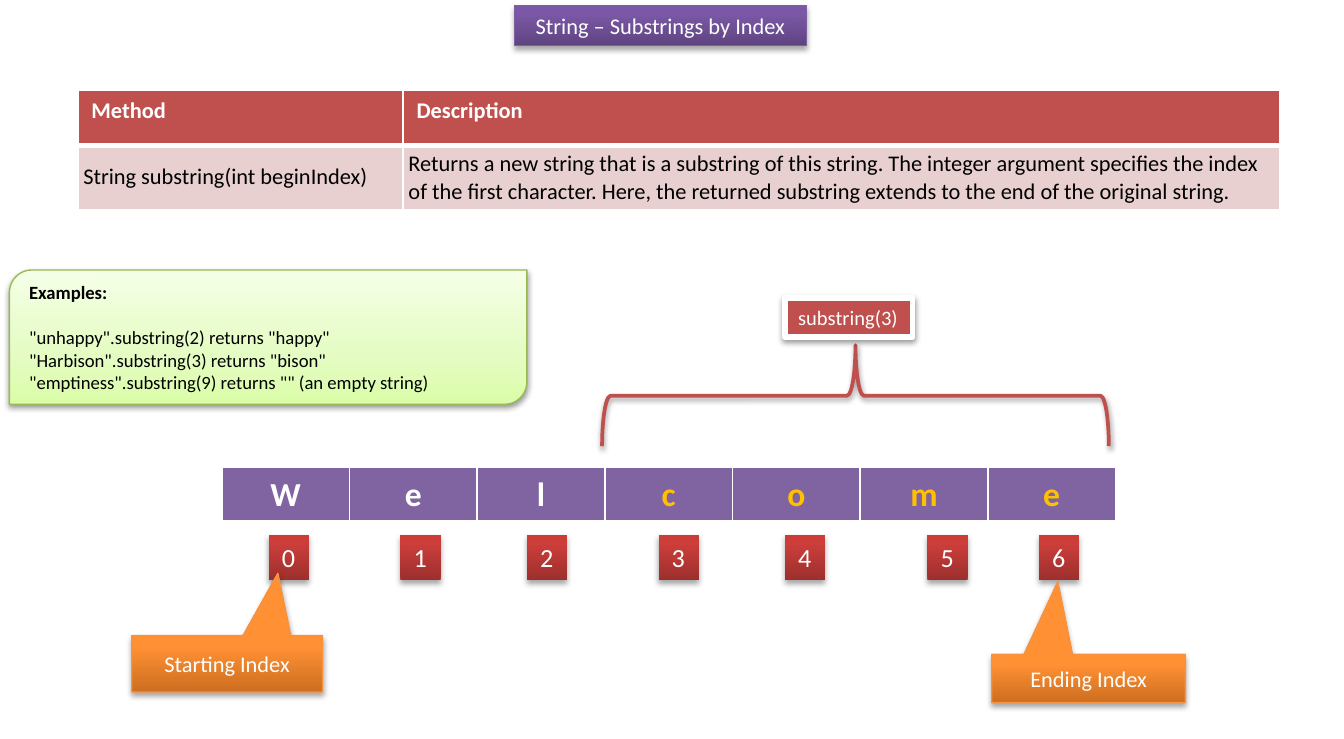
from lxml import etree
from pptx import Presentation
from pptx.dml import color
from pptx.enum import shapes, text
from pptx.oxml import ns
from pptx.util import Inches, Pt

SHAPE = shapes.MSO_SHAPE
CENTER, LEFT = text.PP_ALIGN.CENTER, text.PP_ALIGN.LEFT
MIDDLE, TOP = text.MSO_ANCHOR.MIDDLE, text.MSO_ANCHOR.TOP
WHITE, BLACK, RED, PURPLE, GOLD = "FFFFFF", "000000", "C0504D", "8064A2", "FFC000"
PURPLE_FADE = [(0, "5F4480"), (80, "7B58A6"), (100, "7C57A8")]
RED_FADE = [(0, "9C2F2D"), (80, "CB3E3A"), (100, "CE3B37")]
ORANGE_FADE = [(0, "CC6E20"), (80, "FF9034"), (100, "FF9136")]
GREEN_FADE = [(0, "DAFDA7"), (35, "E4FCC2"), (100, "F5FFE7")]


def rgb(value):
    return color.RGBColor.from_string(value)


def add_xml(parent, tag, **attributes):
    return etree.SubElement(parent, ns.qn(tag), {k: str(v) for k, v in attributes.items()})


class SlideBuilder:
    font_name = "Calibri"

    def __init__(self, slide):
        self.slide = slide

    def style(self, paragraph, size, ink, bold=False, align=LEFT):
        paragraph.alignment = align
        font = paragraph.font
        font.name, font.size, font.bold = self.font_name, Pt(size), bold
        font.color.rgb = rgb(ink)

    def paint(self, shape, fill):
        """Fill with nothing, one colour, or a list of stops running upwards."""
        if fill is None:
            shape.fill.background()
        elif isinstance(fill, str):
            shape.fill.solid()
            shape.fill.fore_color.rgb = rgb(fill)
        else:
            shape.fill.gradient()
            shape.fill.gradient_angle = 90
            stops = shape._element.spPr.find(".//" + ns.qn("a:gsLst"))
            for old in list(stops):
                stops.remove(old)
            for position, value in fill:
                stop = add_xml(stops, "a:gs", pos=position * 1000)
                add_xml(stop, "a:srgbClr", val=value)

    def cast_shadow(self, shape, opacity, distance):
        shape.shadow.inherit = False
        effects = shape._element.spPr.find(ns.qn("a:effectLst"))
        shadow = add_xml(effects, "a:outerShdw", blurRad=Pt(3.1), dist=Pt(distance),
                         dir=5400000, rotWithShape=0)
        add_xml(add_xml(shadow, "a:srgbClr", val=BLACK), "a:alpha", val=opacity * 1000)

    def shape(self, kind, box, fill=None, line=None, width=0.75, opacity=35, distance=1.8,
              adjust=()):
        shape = self.slide.shapes.add_shape(kind, *map(Inches, box))
        self.paint(shape, fill)
        if line:
            shape.line.color.rgb = rgb(line)
            shape.line.width = Pt(width)
        else:
            shape.line.fill.background()
        self.cast_shadow(shape, opacity, distance)
        for i, value in enumerate(adjust):
            shape.adjustments[i] = value
        return shape

    def label(self, shape, lines, size, ink=WHITE, align=CENTER, anchor=MIDDLE,
              wrap=True, grow=False):
        frame = shape.text_frame
        frame.word_wrap, frame.vertical_anchor = wrap, anchor
        if grow:
            frame.auto_size = text.MSO_AUTO_SIZE.SHAPE_TO_FIT_TEXT
        frame.text = "\n".join(lines)
        for paragraph in frame.paragraphs:
            self.style(paragraph, size, ink, align=align)
        return frame

    def callout(self, words, box, tip):
        shape = self.shape(SHAPE.RECTANGULAR_CALLOUT, box, ORANGE_FADE, "F69240", adjust=tip)
        self.label(shape, [words], 12)

    def table(self, left, top, widths, heights):
        table = self.slide.shapes.add_table(
            len(heights), len(widths), Inches(left), Inches(top),
            Inches(sum(widths)), Inches(sum(heights))).table
        table.horz_banding = False
        for column, width in zip(table.columns, widths):
            column.width = Inches(width)
        for row, height in zip(table.rows, heights):
            row.height = Inches(height)
        return table

    def cell(self, cell, words, fill, size, ink=WHITE, bold=True, align=LEFT,
             anchor=TOP, margin=None, bottom=3):
        cell.text = words
        cell.vertical_anchor = anchor
        if margin:
            cell.margin_left = cell.margin_right = Inches(margin)
            cell.margin_top = cell.margin_bottom = Inches(margin)
        self.style(cell.text_frame.paragraphs[0], size, ink, bold, align)
        # Borders come before the fill in the cell properties
        properties = cell._tc.get_or_add_tcPr()
        for side, width in zip("LRTB", (1, 1, 1, bottom)):
            border = add_xml(properties, "a:ln" + side, w=Pt(width))
            add_xml(add_xml(border, "a:solidFill"), "a:srgbClr", val=WHITE)
        cell.fill.solid()
        cell.fill.fore_color.rgb = rgb(fill)


def main():
    deck = Presentation()
    deck.slide_width, deck.slide_height = Inches(10), Inches(5.5)
    page = SlideBuilder(deck.slides.add_slide(deck.slide_layouts[6]))

    # Title
    title = page.shape(SHAPE.RECTANGLE, (3.83, 0.04, 2.17, 0.3), PURPLE_FADE, "7D60A0")
    page.label(title, ["String – Substrings by Index"], 12, anchor=TOP, grow=True)

    # Letters of the word
    word = "Welcome"
    begin_index = 3
    letters = page.table(1.65, 3.48, [0.95] * len(word), [0.41])
    for i, letter in enumerate(word):
        page.cell(letters.cell(0, i), letter, PURPLE, 18,
                  GOLD if i >= begin_index else WHITE, align=CENTER)

    # Index under each letter
    for i, left in enumerate((2, 2.98, 3.92, 4.9, 5.84, 6.9, 7.73)):
        index = page.shape(SHAPE.RECTANGLE, (left, 3.98, 0.3, 0.34), RED_FADE)
        page.label(index, [str(i)], 14, align=LEFT, anchor=TOP, wrap=False, grow=True)

    # First and last index
    page.callout("Starting Index", (0.98, 4.73, 1.42, 0.42), (0.266, -1.604))
    page.callout("Ending Index", (7.38, 4.87, 1.44, 0.36), (-0.159, -2.001))

    # Brace over the substring and its call
    brace = page.shape(SHAPE.LEFT_BRACE, (5.99, 1.06, 0.75, 3.77), None, RED, 2, 38, 1.6)
    brace.rotation = 90
    call = page.shape(SHAPE.RECTANGLE, (5.84, 2.22, 0.95, 0.29), RED, WHITE, 3, 38, 1.6)
    page.label(call, ["substring(3)"], 11, align=LEFT, anchor=TOP, wrap=False, grow=True)

    # Method description
    methods = page.table(0.58, 0.67, [2.42, 6.52], [0.41, 0.41])
    headings = ("Method", "Description")
    details = (
        "String substring(int beginIndex)",
        "Returns a new string that is a substring of this string. The integer argument "
        "specifies the index of the first character. Here, the returned substring extends "
        "to the end of the original string.",
    )
    for column, (heading, detail) in enumerate(zip(headings, details)):
        page.cell(methods.cell(0, column), heading, RED, 12)
        page.cell(methods.cell(1, column), detail, "E8D0D0", 12, BLACK, bold=False,
                  anchor=MIDDLE, margin=0.04, bottom=1)

    # Examples
    examples = page.shape(SHAPE.ROUND_2_DIAG_RECTANGLE, (0.07, 2.01, 3.85, 1), GREEN_FADE,
                          "98B955", opacity=38, distance=1.6)
    lines = page.label(examples, [
        "Examples:",
        '"unhappy".substring(2) returns "happy"',
        '"Harbison".substring(3) returns "bison"',
        '"emptiness".substring(9) returns "" (an empty string)',
    ], 10, BLACK, LEFT)
    lines.paragraphs[0].font.bold = True
    lines.paragraphs[0].space_after = Pt(12)

    deck.save("out.pptx")


if __name__ == "__main__":
    main()
